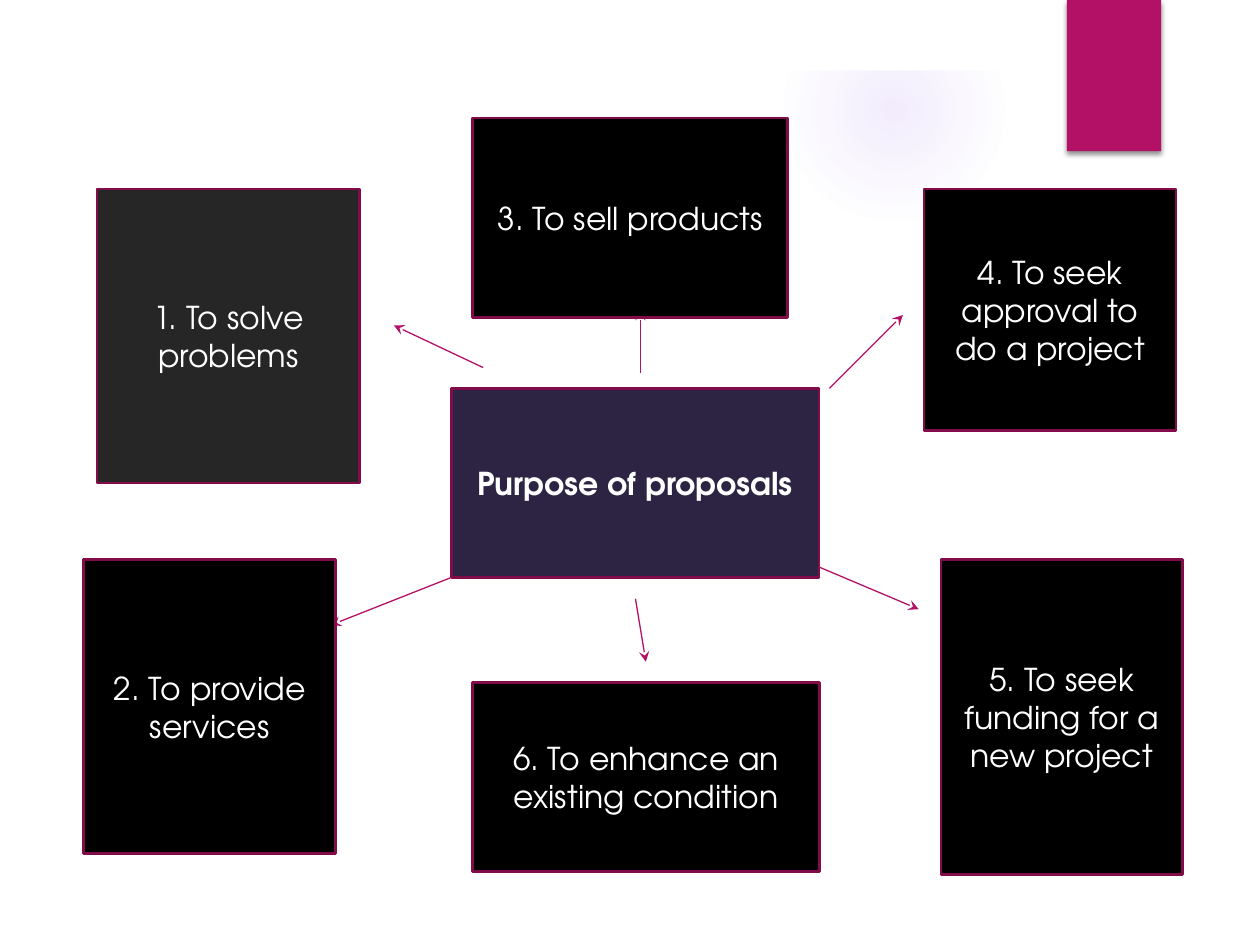
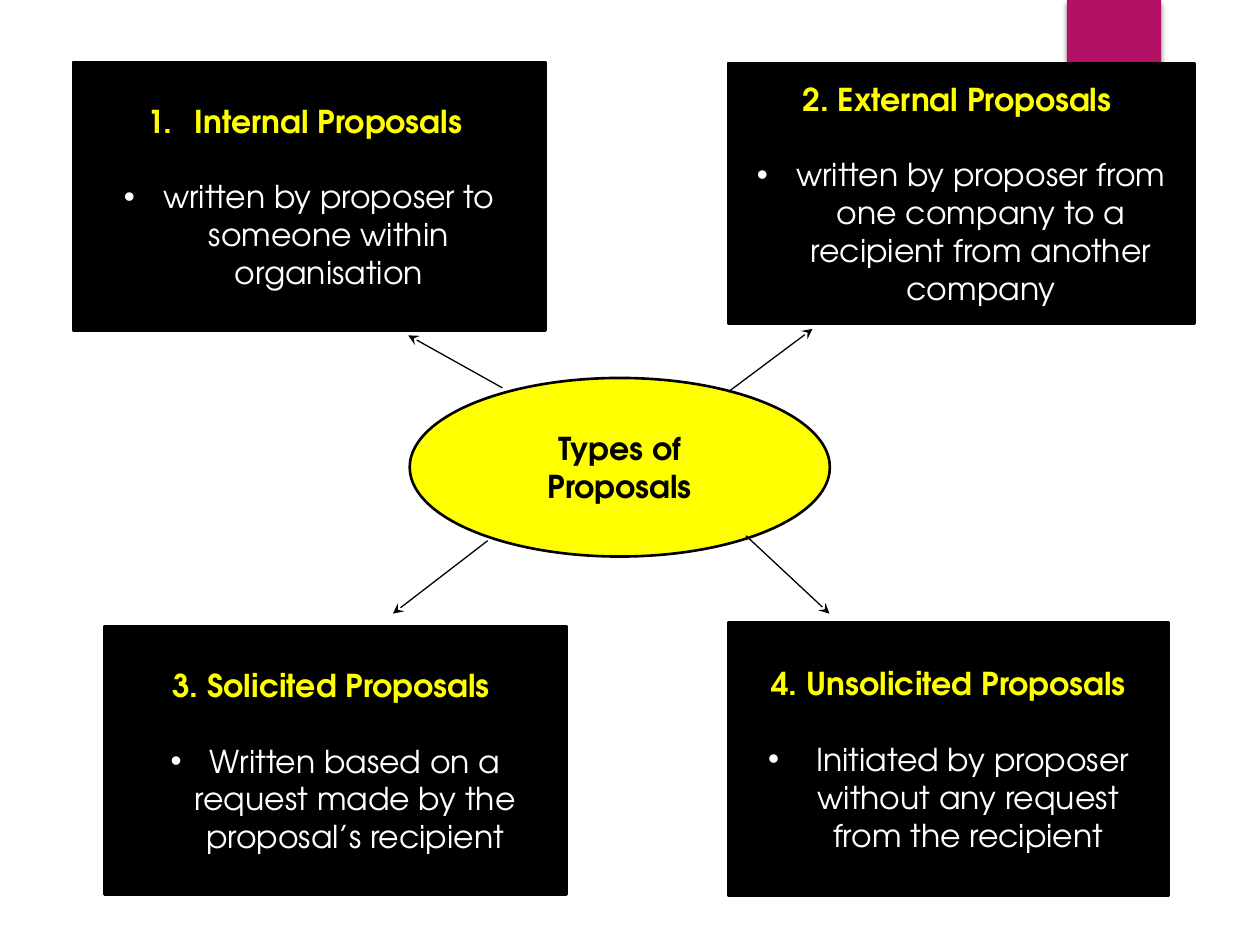
from dataclasses import dataclass
from typing import NamedTuple

from lxml import etree
from pptx import Presentation
from pptx.dml.color import RGBColor as RGB
from pptx.enum.shapes import MSO_CONNECTOR as Connector
from pptx.enum.shapes import MSO_SHAPE as Preset
from pptx.enum.text import MSO_ANCHOR as Anchor
from pptx.enum.text import PP_ALIGN as Align
from pptx.oxml import parse_xml
from pptx.oxml.ns import nsdecls, qn
from pptx.util import Cm, Pt


@dataclass(frozen=True)
class Theme:
    font: str = "TeX Gyre Adventor"
    text_size: float = 18
    blank_line: float = 21.6
    outline: float = 1.5
    arrow: float = 0.75
    white: str = "FFFFFF"
    black: str = "000000"
    charcoal: str = "262626"
    indigo: str = "2C2442"
    magenta: str = "B31166"
    plum: str = "820C4A"
    yellow: str = "FFFF00"
    violet: str = "9B6BF2"


THEME = Theme()


class Area(NamedTuple):
    """Left, top, width and height in centimetres."""
    left: float
    top: float
    width: float
    height: float


class Arrow(NamedTuple):
    """Start and end point in centimetres."""
    x1: float
    y1: float
    x2: float
    y2: float


class Line(NamedTuple):
    text: str
    color: str = THEME.white
    bold: bool = False
    bullet: str = ""
    indent: float = 0
    space_before: float = 0


class Box(NamedTuple):
    area: Area
    lines: list[Line]
    fill: str = THEME.black
    outline: str = THEME.black
    preset: Preset = Preset.RECTANGLE


SLIDE = Area(0, 0, 25.4, 19.05)
TAG = Area(21.51, 0, 1.9, 3.05)
GLOW = Area(15.8, 0, 4.45, 4.45)
TOP_MARGIN = Area(0, 0, 21.51, 1.42)
GLOW_STOPS = [(0, 13), (36, 6), (73, 0), (100, 0)]


# Drawing helpers
def add_plain(slide, area: Area, fill: str, preset: Preset = Preset.RECTANGLE):
    shape = slide.shapes.add_shape(preset, *map(Cm, area))
    shape.shadow.inherit = False
    shape.fill.solid()
    shape.fill.fore_color.rgb = RGB.from_string(fill)
    shape.line.fill.background()
    return shape


def set_bullet(paragraph, line: Line) -> None:
    props = paragraph._p.get_or_add_pPr()
    props.set("marL", str(Cm(line.indent)))
    props.set("indent", str(-Cm(line.indent)))
    color = etree.Element(qn("a:buClr"))
    etree.SubElement(color, qn("a:srgbClr"), val=line.color)
    if line.bullet == "1.":
        marks = [etree.Element(qn("a:buFont"), typeface="+mj-lt"),
                 etree.Element(qn("a:buAutoNum"), type="arabicPeriod")]
    else:
        marks = [etree.Element(qn("a:buFont"), typeface="Arial"),
                 etree.Element(qn("a:buChar"), char=line.bullet)]
    default_font = props.find(qn("a:defRPr"))
    for element in [color, *marks]:
        default_font.addprevious(element)


def write_line(paragraph, line: Line) -> None:
    paragraph.text = line.text
    paragraph.alignment = Align.CENTER
    paragraph.space_before = Pt(line.space_before)
    font = paragraph.font
    font.name, font.size, font.bold = THEME.font, Pt(THEME.text_size), line.bold
    font.color.rgb = RGB.from_string(line.color)
    if line.bullet:
        set_bullet(paragraph, line)


def draw_box(slide, box: Box) -> None:
    shape = add_plain(slide, box.area, box.fill, box.preset)
    shape.line.color.rgb = RGB.from_string(box.outline)
    shape.line.width = Pt(THEME.outline)
    frame = shape.text_frame
    frame.word_wrap = True
    frame.vertical_anchor = Anchor.MIDDLE
    for index, line in enumerate(box.lines):
        write_line(frame.add_paragraph() if index else frame.paragraphs[0], line)


def draw_arrow(slide, arrow: Arrow, color: str) -> None:
    connector = slide.shapes.add_connector(Connector.STRAIGHT, *map(Cm, arrow))
    connector.line.color.rgb = RGB.from_string(color)
    connector.line.width = Pt(THEME.arrow)
    etree.SubElement(connector.line._get_or_add_ln(), qn("a:tailEnd"), type="stealth")
    etree.SubElement(connector._element.spPr, qn("a:effectLst"))


# Shared decoration
def draw_glow(slide) -> None:
    glow = add_plain(slide, GLOW, THEME.violet, Preset.OVAL)
    stops = "".join(
        f'<a:gs pos="{pos * 1000}"><a:srgbClr val="{THEME.violet}">'
        f'<a:alpha val="{alpha * 1000}"/></a:srgbClr></a:gs>'
        for pos, alpha in GLOW_STOPS)
    gradient = parse_xml(
        f'<a:gradFill {nsdecls("a")}><a:gsLst>{stops}</a:gsLst><a:path path="circle">'
        '<a:fillToRect l="50000" t="50000" r="50000" b="50000"/></a:path></a:gradFill>')
    props = glow._element.spPr
    props.replace(props.find(qn("a:solidFill")), gradient)
    add_plain(slide, TOP_MARGIN, THEME.white)


def draw_tag(slide) -> None:
    tag = add_plain(slide, TAG, THEME.magenta)
    effects = tag._element.spPr.find(qn("a:effectLst"))
    shadow = etree.SubElement(effects, qn("a:outerShdw"), blurRad=str(Pt(3)),
                              dist=str(Pt(2)), dir="5400000", rotWithShape="0")
    color = etree.SubElement(shadow, qn("a:srgbClr"), val=THEME.black)
    etree.SubElement(color, qn("a:alpha"), val="44000")


def build_map(prs, hub: Box, arrows: list[Arrow], arrow_color: str,
              boxes: list[Box], glow: bool = False) -> None:
    slide = prs.slides.add_slide(prs.slide_layouts[6])
    if glow:
        draw_glow(slide)
    draw_tag(slide)
    draw_box(slide, hub)
    for arrow in arrows:
        draw_arrow(slide, arrow, arrow_color)
    for box in boxes:
        draw_box(slide, box)


# Purpose of proposals
def purpose(area: Area, text: str, fill: str = THEME.black) -> Box:
    return Box(area, [Line(text)], fill, THEME.plum)


PURPOSE_HUB = Box(Area(9.1, 7.83, 7.41, 3.81),
                  [Line("Purpose of proposals", bold=True)], THEME.indigo, THEME.plum)
PURPOSE_ARROWS = [
    Arrow(9.74, 7.41, 7.94, 6.56),
    Arrow(9.1, 11.64, 6.67, 12.6),
    Arrow(12.81, 12.07, 13.02, 13.34),
    Arrow(12.91, 7.51, 12.91, 6.25),
    Arrow(16.72, 7.83, 18.2, 6.35),
    Arrow(16.51, 11.43, 18.52, 12.28),
]
PURPOSES = [
    purpose(Area(1.96, 3.81, 5.29, 5.93), "1. To solve problems", THEME.charcoal),
    purpose(Area(1.69, 11.28, 5.08, 5.93), "2. To provide services"),
    purpose(Area(9.53, 2.38, 6.35, 4.02), "3. To sell products"),
    purpose(Area(18.63, 3.81, 5.08, 4.87), "4. To seek approval to do a project"),
    purpose(Area(18.97, 11.28, 4.87, 6.35), "5. To seek funding for a new project"),
    purpose(Area(9.53, 13.76, 6.99, 3.81), "6. To enhance an existing condition"),
]


# Types of proposals
def proposal_type(area: Area, heading: str, detail: str, number: str = "") -> Box:
    return Box(area, [
        Line(heading, THEME.yellow, True, number, 0.95),
        Line(detail, bullet="•", indent=0.79, space_before=THEME.blank_line),
    ])


TYPES_HUB = Box(Area(8.26, 7.62, 8.47, 3.6),
                [Line("Types of Proposals", THEME.black, True)],
                THEME.yellow, preset=Preset.OVAL)
TYPES_ARROWS = [
    Arrow(10.13, 7.82, 8.23, 6.76),
    Arrow(14.68, 7.9, 16.38, 6.63),
    Arrow(9.83, 10.9, 7.92, 12.37),
    Arrow(15.04, 10.8, 16.72, 12.37),
]
TYPES = [
    proposal_type(Area(1.47, 1.25, 9.53, 5.42), "Internal Proposals ",
                  "written by proposer to someone within organisation", "1."),
    proposal_type(Area(14.68, 1.27, 9.4, 5.25), "2. External Proposals ",
                  "written by proposer from one company to a recipient from another company"),
    proposal_type(Area(2.11, 12.62, 9.31, 5.42), "3. Solicited Proposals ",
                  "Written based on a request made by the proposal’s recipient"),
    proposal_type(Area(14.68, 12.55, 8.89, 5.5), "4. Unsolicited Proposals",
                  " Initiated by proposer without any request from the recipient"),
]


def main() -> None:
    prs = Presentation()
    prs.slide_width, prs.slide_height = Cm(SLIDE.width), Cm(SLIDE.height)
    build_map(prs, PURPOSE_HUB, PURPOSE_ARROWS, THEME.magenta, PURPOSES, glow=True)
    build_map(prs, TYPES_HUB, TYPES_ARROWS, THEME.black, TYPES)
    prs.save("out.pptx")


if __name__ == "__main__":
    main()
